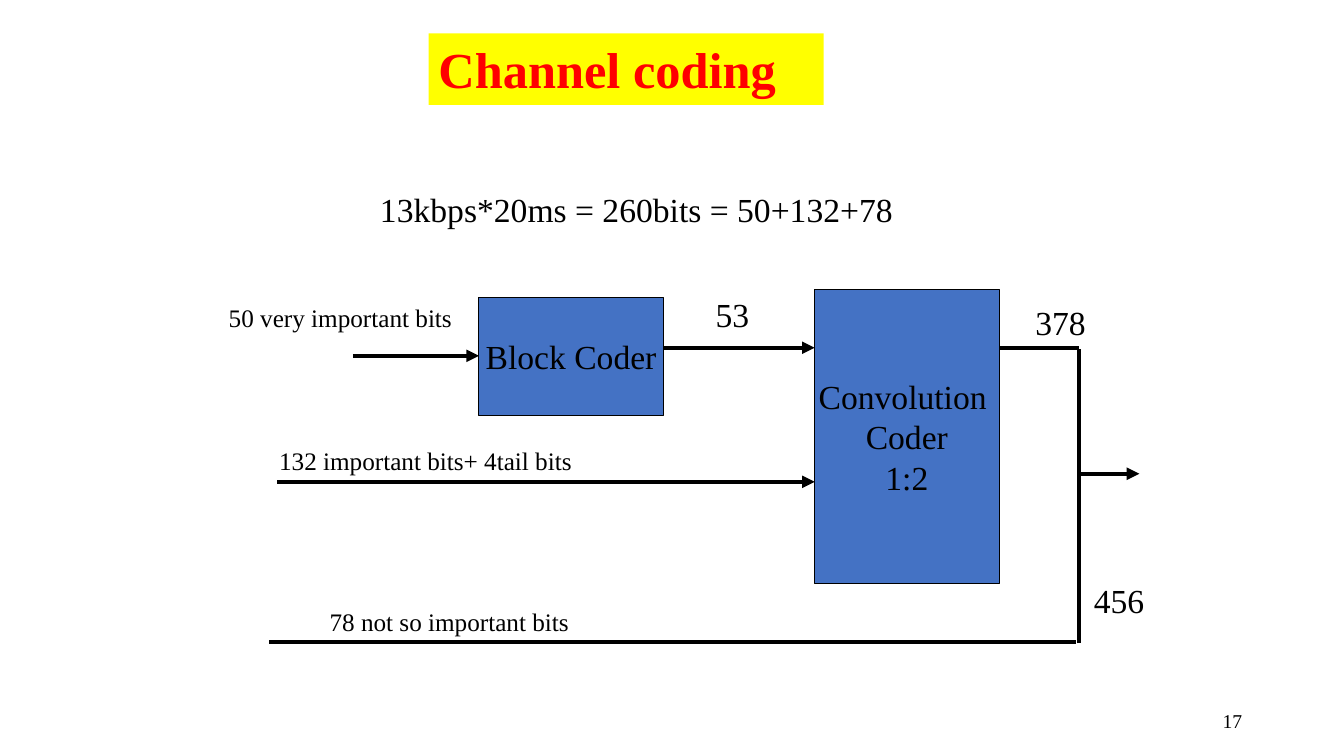
import dataclasses

import lxml.etree
import pptx
import pptx.dml.color
import pptx.enum.shapes
import pptx.enum.text
import pptx.oxml.ns
import pptx.util

Inches = pptx.util.Inches
Pt = pptx.util.Pt
RGBColor = pptx.dml.color.RGBColor
Align = pptx.enum.text.PP_ALIGN
Anchor = pptx.enum.text.MSO_ANCHOR


@dataclasses.dataclass(frozen=True)
class Theme:
    """Colours, font and sizes of the slide."""
    font: str = "Times New Roman"
    ink: RGBColor = RGBColor(0, 0, 0)
    coder_fill: RGBColor = RGBColor(0x44, 0x72, 0xC4)
    title_fill: RGBColor = RGBColor(0xFF, 0xFF, 0)
    title_ink: RGBColor = RGBColor(0xFF, 0, 0)
    title_size: int = 36
    body_size: int = 24
    label_size: int = 18
    number_size: int = 14
    flow_width: float = 3
    border_width: float = 0.75


THEME = Theme()


def format_text(text_frame, text, size, color=THEME.ink, bold=False, align=Align.LEFT):
    """Fill a text frame and format every run."""
    text_frame.text = text
    for paragraph in text_frame.paragraphs:
        paragraph.alignment = align
        for run in paragraph.runs:
            run.font.name = THEME.font
            run.font.size = Pt(size)
            run.font.bold = bold
            run.font.color.rgb = color


def add_label(slide, text, left, top, width, height, size,
              align=Align.LEFT, anchor=Anchor.TOP):
    """Add a wrapped text box."""
    box = slide.shapes.add_textbox(Inches(left), Inches(top), Inches(width), Inches(height))
    box.text_frame.word_wrap = True
    box.text_frame.vertical_anchor = anchor
    format_text(box.text_frame, text, size, align=align)


def add_rectangle(slide, left, top, width, height, fill):
    """Add a plain filled rectangle without border or shadow."""
    shape = slide.shapes.add_shape(
        pptx.enum.shapes.MSO_SHAPE.RECTANGLE,
        Inches(left), Inches(top), Inches(width), Inches(height))
    shape.shadow.inherit = False
    shape.fill.solid()
    shape.fill.fore_color.rgb = fill
    shape.line.fill.background()
    return shape


def add_title(slide, text):
    """Add the highlighted title bar."""
    shape = add_rectangle(slide, 4.25, 0.33, 3.92, 0.71, THEME.title_fill)
    shape.text_frame.word_wrap = True
    shape.text_frame.vertical_anchor = Anchor.TOP
    format_text(shape.text_frame, text, THEME.title_size, THEME.title_ink, bold=True)


def add_coder(slide, text, left, top, width, height):
    """Add a bordered coder block with centred text."""
    shape = add_rectangle(slide, left, top, width, height, THEME.coder_fill)
    shape.line.color.rgb = THEME.ink
    shape.line.width = Pt(THEME.border_width)
    shape.text_frame.word_wrap = False
    shape.text_frame.vertical_anchor = Anchor.MIDDLE
    format_text(shape.text_frame, text, THEME.body_size, align=Align.CENTER)


def add_flow(slide, start_x, start_y, end_x, end_y, arrow=False):
    """Add a signal line, with an arrowhead at its end if asked."""
    connector = slide.shapes.add_connector(
        pptx.enum.shapes.MSO_CONNECTOR.STRAIGHT,
        Inches(start_x), Inches(start_y), Inches(end_x), Inches(end_y))
    connector.line.color.rgb = THEME.ink
    connector.line.width = Pt(THEME.flow_width)
    if arrow:
        lxml.etree.SubElement(connector.line._get_or_add_ln(),
                              pptx.oxml.ns.qn("a:tailEnd"), type="triangle")
    lxml.etree.SubElement(connector._element.spPr, pptx.oxml.ns.qn("a:effectLst"))


def main():
    """Build the channel coding slide."""
    presentation = pptx.Presentation()
    presentation.slide_width = Inches(13.33)
    presentation.slide_height = Inches(7.5)
    slide = presentation.slides.add_slide(presentation.slide_layouts[6])

    add_title(slide, "Channel coding")
    add_label(slide, "13kbps*20ms = 260bits = 50+132+78",
              3.67, 1.83, 5.92, 0.5, THEME.body_size)

    add_flow(slide, 9.87, 3.45, 10.7, 3.45)
    add_coder(slide, "Block Coder", 4.75, 2.95, 1.83, 1.17)
    add_coder(slide, "Convolution \nCoder\n1:2", 8.08, 2.87, 1.83, 2.92)

    add_flow(slide, 6.58, 3.45, 8.08, 3.45, arrow=True)
    add_flow(slide, 3.5, 3.53, 4.75, 3.53, arrow=True)
    add_flow(slide, 2.75, 4.78, 8.08, 4.78, arrow=True)
    add_flow(slide, 2.67, 6.37, 10.67, 6.37)
    add_flow(slide, 10.7, 6.38, 10.7, 3.46)
    add_flow(slide, 10.72, 4.7, 11.3, 4.7, arrow=True)

    for text, left, top, width in (
        ("50 very important bits", 2.17, 2.95, 2.42),
        ("132 important bits+ 4tail bits", 2.67, 4.37, 4.5),
        ("78 not so important bits", 3.17, 5.97, 3.42),
    ):
        add_label(slide, text, left, top, width, 0.4, THEME.label_size)

    for text, left, top, width in (
        ("53", 7, 2.87, 0.83),
        ("378", 10.17, 2.95, 1),
        ("456", 10.75, 5.7, 0.92),
    ):
        add_label(slide, text, left, top, width, 0.5, THEME.body_size)

    add_label(slide, "17", 9.42, 6.95, 3, 0.4, THEME.number_size,
              Align.RIGHT, Anchor.MIDDLE)
    presentation.save("out.pptx")


if __name__ == "__main__":
    main()
